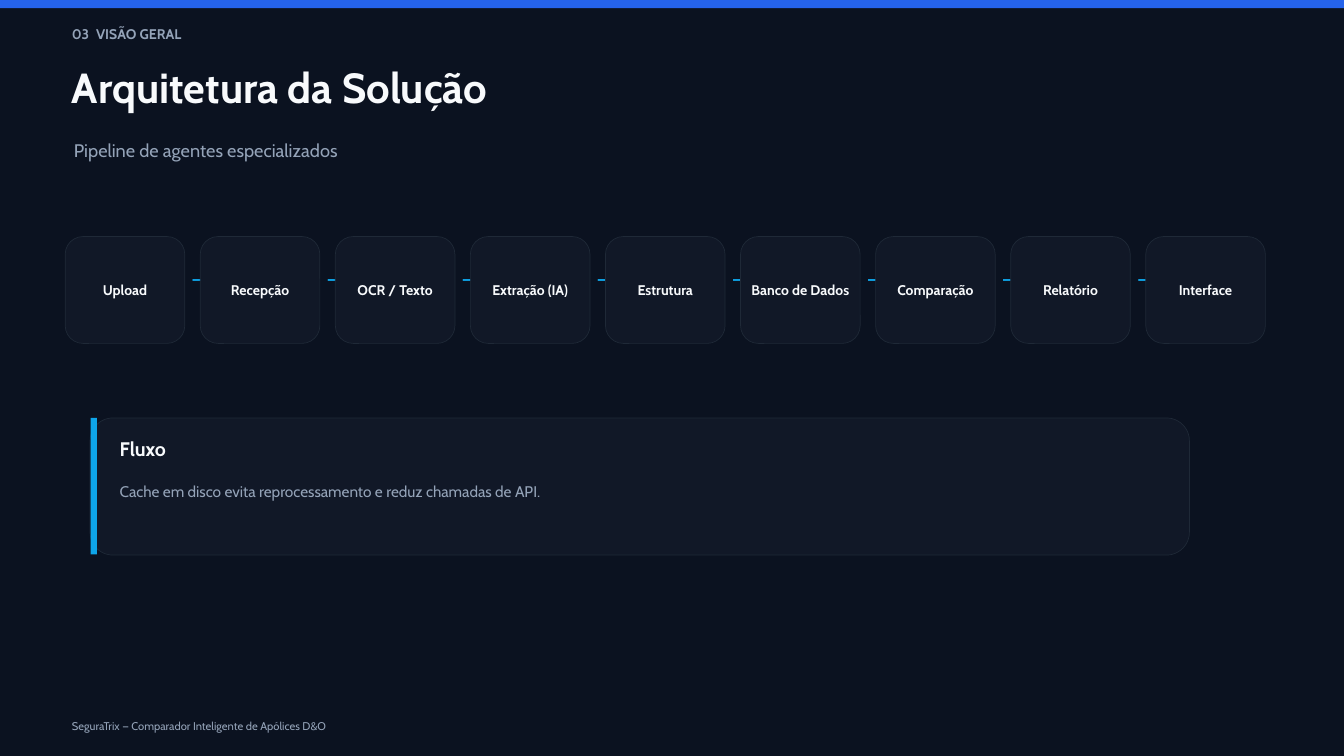
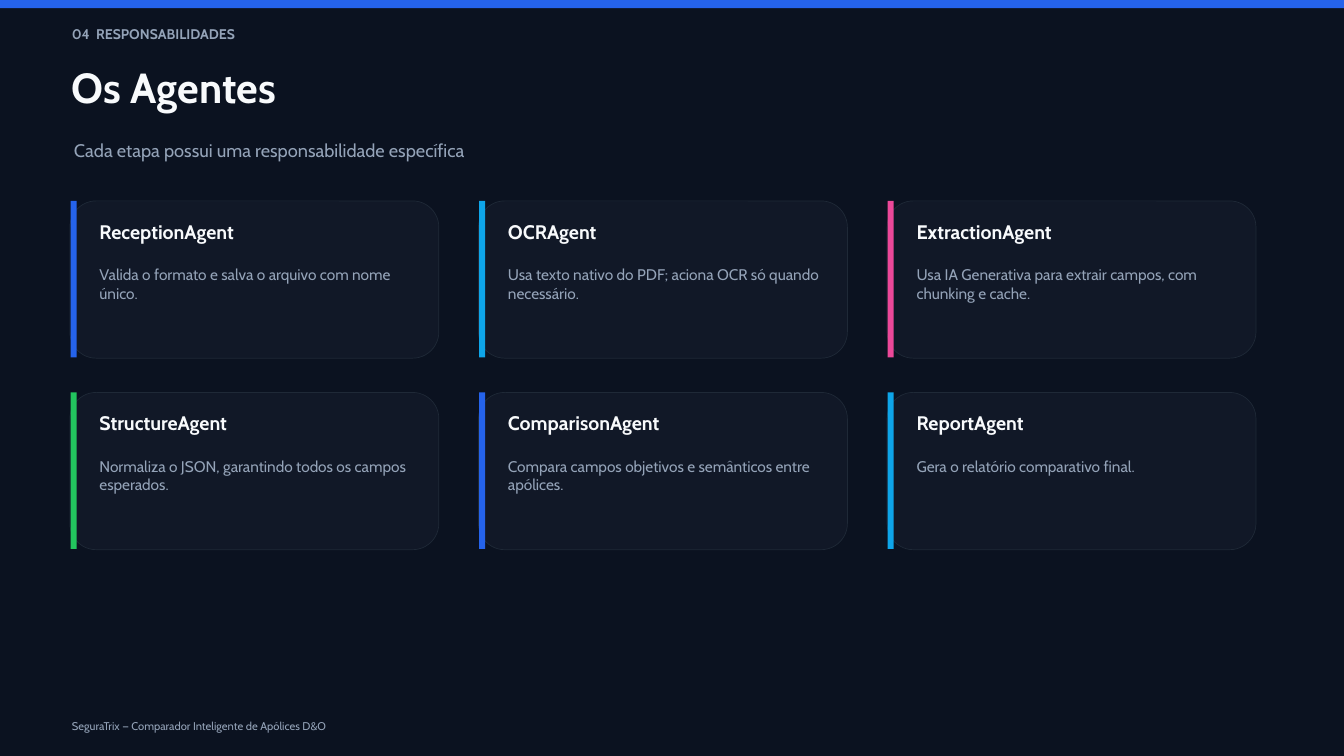
"""Build two dark slides on the architecture and agents of a policy comparison tool."""
from lxml.etree import SubElement
from pptx import Presentation
from pptx.dml.color import RGBColor
from pptx.enum.shapes import MSO_SHAPE
from pptx.enum.text import MSO_ANCHOR, MSO_AUTO_SIZE, PP_ALIGN
from pptx.oxml.ns import qn
from pptx.util import Inches, Pt

COLORS = {
    "background": "0B1220",
    "card": "111827",
    "border": "1F2937",
    "text": "F8FAFC",
    "muted": "94A3B8",
    "blue": "2563EB",
    "sky": "0EA5E9",
    "pink": "EC4899",
    "green": "22C55E",
}
FONT = "Cabin"
MARGIN = 1.07
FOOTER = "SeguraTrix — Comparador Inteligente de Apólices D&O"
STEPS = ["Upload", "Recepção", "OCR / Texto", "Extração (IA)", "Estrutura",
         "Banco de Dados", "Comparação", "Relatório", "Interface"]
AGENTS = [
    ("ReceptionAgent", "Valida o formato e salva o arquivo com nome único.", "blue"),
    ("OCRAgent", "Usa texto nativo do PDF; aciona OCR só quando necessário.", "sky"),
    ("ExtractionAgent", "Usa IA Generativa para extrair campos, com chunking e cache.", "pink"),
    ("StructureAgent", "Normaliza o JSON, garantindo todos os campos esperados.", "green"),
    ("ComparisonAgent", "Compara campos objetivos e semânticos entre apólices.", "blue"),
    ("ReportAgent", "Gera o relatório comparativo final.", "sky"),
]


def rgb(name):
    return RGBColor.from_string(COLORS[name])


def write(shape, text, size, color, bold=False, align=PP_ALIGN.LEFT,
          anchor=MSO_ANCHOR.TOP, inset=0, tab=None):
    frame = shape.text_frame
    frame.word_wrap = True
    frame.auto_size = MSO_AUTO_SIZE.NONE
    frame.vertical_anchor = anchor
    frame.margin_left = frame.margin_right = Inches(inset)
    frame.margin_top = frame.margin_bottom = Inches(inset)
    frame.text = text
    paragraph = frame.paragraphs[0]
    if tab:
        stops = SubElement(paragraph._p.get_or_add_pPr(), qn("a:tabLst"))
        SubElement(stops, qn("a:tab"), pos=str(Inches(tab)), algn="l")
    paragraph.alignment = align
    paragraph.line_spacing = Pt(size * 1.2)
    paragraph.font.name = FONT
    paragraph.font.size = Pt(size)
    paragraph.font.bold = bold
    paragraph.font.color.rgb = rgb(color)


def add_text(slide, left, top, width, height, text, size, color, **style):
    box = slide.shapes.add_textbox(Inches(left), Inches(top), Inches(width), Inches(height))
    write(box, text, size, color, **style)


def add_block(slide, kind, left, top, width, height, fill, border=None):
    shape = slide.shapes.add_shape(kind, Inches(left), Inches(top), Inches(width), Inches(height))
    shape.shadow.inherit = False
    shape.fill.solid()
    shape.fill.fore_color.rgb = rgb(fill)
    if border:
        shape.line.color.rgb = rgb(border)
        shape.line.width = Pt(0.75)
    else:
        shape.line.fill.background()
    return shape


def add_panel(slide, left, top, width, height):
    return add_block(slide, MSO_SHAPE.ROUNDED_RECTANGLE, left, top, width, height,
                     "card", "border")


def add_card(slide, left, top, width, height, heading, body, accent):
    add_panel(slide, left, top, width, height)
    add_block(slide, MSO_SHAPE.RECTANGLE, left + 0.01, top, 0.09, height - 0.01, accent)
    text_left, text_width = left + 0.44, width - 0.82
    add_text(slide, text_left, top + 0.28, text_width, 0.48, heading, 21, "text", bold=True)
    add_text(slide, text_left, top + 0.96, text_width, height - 1.25, body, 16.5, "muted")


def add_step(slide, left, label):
    panel = add_panel(slide, left, 3.52, 1.78, 1.59)
    write(panel, label, 15, "text", bold=True, align=PP_ALIGN.CENTER,
          anchor=MSO_ANCHOR.MIDDLE, inset=0.06)


def add_pipeline(slide, labels):
    for index, label in enumerate(labels):
        left = 0.97 + index * 2.01
        if index:
            add_text(slide, left - 0.13, 3.95, 0.04, 0.54, "→", 24, "sky",
                     align=PP_ALIGN.CENTER)
        add_step(slide, left, label)


def add_agent_grid(slide, agents):
    for index, agent in enumerate(agents):
        row, column = divmod(index, 3)
        add_card(slide, 1.04 + column * 6.08, 2.99 + row * 2.85, 5.49, 2.34, *agent)


def add_page(presentation, number, section, title, subtitle):
    slide = presentation.slides.add_slide(presentation.slide_layouts.get_by_name("Title Only"))
    add_block(slide, MSO_SHAPE.RECTANGLE, 0, 0, 20, 0.12, "blue")
    add_text(slide, MARGIN, 0.38, 2.8, 0.47, f"{number}\t{section}", 15, "muted",
             bold=True, tab=0.36)
    heading = slide.shapes.title
    heading.left, heading.top = Inches(MARGIN), Inches(0.92)
    heading.width, heading.height = Inches(17.5), Inches(1.13)
    write(heading, title, 45, "text", bold=True)
    add_text(slide, 1.1, 2.07, 17.05, 0.7, subtitle, 19.5, "muted")
    add_text(slide, MARGIN, 10.71, 17.5, 0.3, FOOTER, 12, "muted")
    return slide


def main():
    presentation = Presentation()
    presentation.slide_width = Inches(20)
    presentation.slide_height = Inches(11.25)
    background = presentation.slide_master.background.fill
    background.solid()
    background.fore_color.rgb = rgb("background")

    architecture = add_page(presentation, "03", "VISÃO GERAL", "Arquitetura da Solução",
                            "Pipeline de agentes especializados")
    add_pipeline(architecture, STEPS)
    add_card(architecture, 1.34, 6.22, 16.36, 2.04, "Fluxo",
             "Cache em disco evita reprocessamento e reduz chamadas de API.", "sky")

    responsibilities = add_page(presentation, "04", "RESPONSABILIDADES", "Os Agentes",
                                "Cada etapa possui uma responsabilidade específica")
    add_agent_grid(responsibilities, AGENTS)

    presentation.save("out.pptx")


if __name__ == "__main__":
    main()
